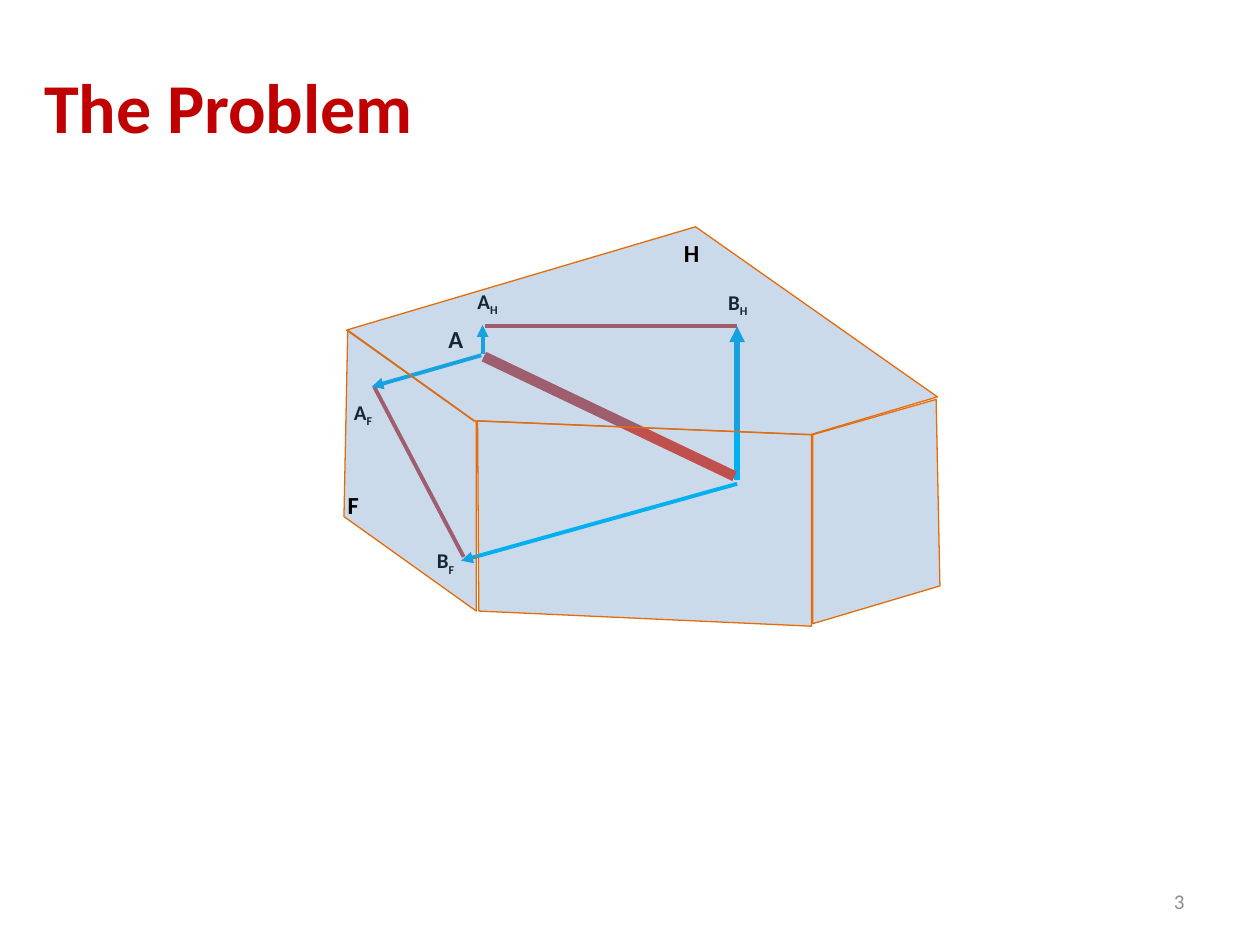
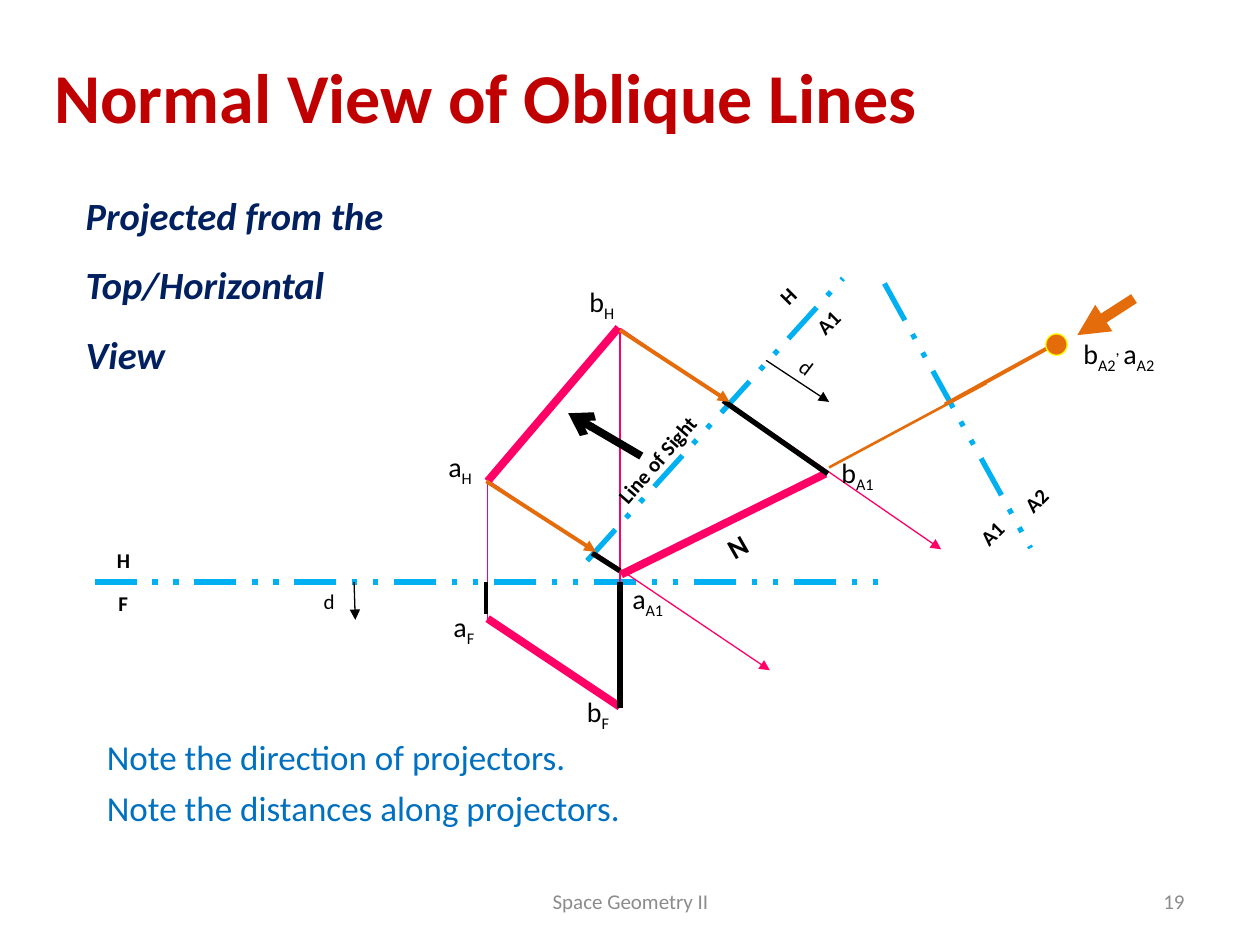
from pptx import Presentation
from pptx.dml.color import RGBColor
from pptx.enum.dml import MSO_LINE
from pptx.enum.shapes import MSO_CONNECTOR, MSO_SHAPE
from pptx.enum.text import MSO_ANCHOR, MSO_AUTO_SIZE, PP_ALIGN
from pptx.oxml.ns import qn
from pptx.util import Cm, Pt
from lxml.etree import SubElement

BLACK = RGBColor(0x00, 0x00, 0x00)
TITLE_RED = RGBColor(0xC0, 0x00, 0x00)
FOOTER_GREY = RGBColor(0x8C, 0x8C, 0x8C)
FACE_BLUE = RGBColor(0x4F, 0x81, 0xBD)
SKY = RGBColor(0x00, 0xB0, 0xF0)
BRICK = RGBColor(0xC0, 0x50, 0x4D)
ORANGE = RGBColor(0xE4, 0x6C, 0x0A)
PINK = RGBColor(0xFF, 0x00, 0x66)
YELLOW = RGBColor(0xFF, 0xFF, 0x00)
NAVY = RGBColor(0x00, 0x20, 0x60)
NOTE_BLUE = RGBColor(0x00, 0x70, 0xC0)

FONT = "Calibri"
TITLE_ONLY, TITLE_AND_BODY = 5, 1


def grid(*values):
    """Turn drawing units of 2.54 cm into lengths."""
    return [Cm(2.54 * v) for v in values]


def sub(letter, view):
    """Runs for a point name with its view as subscript."""
    return [(letter, 0), (view, -25)]


class Deck:
    def __init__(self):
        self.prs = Presentation()
        self.prs.slide_width, self.prs.slide_height = Cm(25.4), Cm(19.05)
        self.s = None

    def slide(self, layout, title, left, top):
        self.s = self.prs.slides.add_slide(self.prs.slide_layouts[layout])
        sp = self.s.shapes.title
        self.place(sp, left, top, 9, 1.17)
        tf = sp.text_frame
        tf.auto_size = MSO_AUTO_SIZE.NONE
        tf.vertical_anchor = MSO_ANCHOR.MIDDLE
        tf.paragraphs[0].alignment = PP_ALIGN.LEFT
        self.run(tf.paragraphs[0], title, 40, TITLE_RED, bold=True)

    def place(self, sp, *box):
        sp.left, sp.top, sp.width, sp.height = grid(*box)

    def run(self, p, text, size, color, bold=False, italic=False, baseline=0):
        r = p.add_run()
        r.text = text
        f = r.font
        f.name, f.size, f.bold, f.italic = FONT, Pt(size), bold, italic
        f.color.rgb = color
        if baseline:
            r._r.get_or_add_rPr().set("baseline", str(baseline * 1000))

    def text(self, box, runs, size=12, color=BLACK, bold=False, rotation=0, wrap=False):
        sp = self.s.shapes.add_textbox(*grid(*box))
        sp.rotation = rotation
        tf = sp.text_frame
        tf.word_wrap = wrap
        tf.auto_size = MSO_AUTO_SIZE.SHAPE_TO_FIT_TEXT
        if isinstance(runs, str):
            runs = [(runs, 0)]
        for text, baseline in runs:
            self.run(tf.paragraphs[0], text, size, color, bold, baseline=baseline)

    def footer(self, text, left, width, align):
        sp = self.s.shapes.add_textbox(*grid(left, 6.95, width, 0.4))
        tf = sp.text_frame
        tf.word_wrap = True
        tf.vertical_anchor = MSO_ANCHOR.MIDDLE
        tf.paragraphs[0].alignment = align
        self.run(tf.paragraphs[0], text, 12, FOOTER_GREY)

    def number(self, text):
        self.footer(text, 7.17, 2.33, PP_ALIGN.RIGHT)

    def body(self, box, text):
        sp = self.s.placeholders[1]
        self.place(sp, *box)
        tf = sp.text_frame
        tf.auto_size = MSO_AUTO_SIZE.NONE
        tf.vertical_anchor = MSO_ANCHOR.BOTTOM
        p = tf.paragraphs[0]
        pPr = p._p.get_or_add_pPr()
        pPr.set("marL", "0")
        pPr.set("indent", "0")
        SubElement(pPr, qn("a:buNone"))
        p.line_spacing = 1.5
        p.space_before = Pt(0)
        self.run(p, text, 22, NAVY, bold=True, italic=True)

    def line(self, start, end, color, width, head=None, dash=None):
        c = self.s.shapes.add_connector(MSO_CONNECTOR.STRAIGHT, *grid(*start, *end))
        c.line.color.rgb = color
        c.line.width = Pt(width)
        if dash:
            c.line.dash_style = dash
        spPr = c._element.spPr
        if head:
            SubElement(spPr.find(qn("a:ln")), qn("a:tailEnd")).set("type", head)
        SubElement(spPr, qn("a:effectLst"))

    def arrow(self, start, end, color, width, head="triangle"):
        self.line(start, end, color, width, head)

    def fold(self, start, end):
        """Folding line between two views."""
        self.line(start, end, SKY, 3, dash=MSO_LINE.DASH_DOT_DOT)

    def face(self, *corners):
        """Translucent wall of the glass box."""
        points = [grid(*corner) for corner in corners]
        builder = self.s.shapes.build_freeform(*points[0], scale=1.0)
        builder.add_line_segments(points[1:], close=True)
        sp = builder.convert_to_shape()
        sp.shadow.inherit = False
        sp.fill.solid()
        sp.fill.fore_color.rgb = FACE_BLUE
        clr = sp._element.spPr.find(qn("a:solidFill")).find(qn("a:srgbClr"))
        SubElement(clr, qn("a:alpha")).set("val", "29000")
        sp.line.color.rgb = ORANGE
        sp.line.width = Pt(0.75)

    def dot(self, left, top, size):
        sp = self.s.shapes.add_shape(MSO_SHAPE.OVAL, *grid(left, top, size, size))
        sp.shadow.inherit = False
        sp.fill.solid()
        sp.fill.fore_color.rgb = ORANGE
        sp.line.color.rgb = YELLOW
        sp.line.width = Pt(0.75)


def problem_slide(d):
    d.slide(TITLE_ONLY, "The Problem", 0.25, 0.25)
    d.number("3")

    d.face((3.79, 3.34), (6.44, 3.45), (6.44, 4.97), (3.8, 4.85))
    d.arrow((5.85, 3.81), (5.85, 2.59), SKY, 3)
    d.arrow((3.83, 2.81), (3.83, 2.58), SKY, 2.25)
    d.arrow((5.85, 3.84), (3.66, 4.45), SKY, 2.25)
    d.line((3.68, 4.42), (2.97, 3.07), BRICK, 2.25)
    d.arrow((3.82, 2.82), (2.95, 3.07), SKY, 2.25)
    d.line((5.83, 3.78), (3.84, 2.83), BRICK, 6)

    for left, top, letter, view in [(3.69, 2.24, "A", "H"), (5.68, 2.25, "B", "H"),
                                    (2.71, 3.12, "A", "F"), (3.37, 4.3, "B", "F")]:
        d.text((left, top, 0.36, 0.3), sub(letter, view), bold=True)
    d.text((3.46, 2.52, 0.32, 0.34), "A", 14, bold=True)
    d.line((3.85, 2.59), (5.85, 2.59), BRICK, 2.25)

    d.face((2.75, 2.62), (5.52, 1.8), (7.44, 3.15), (6.43, 3.45), (3.76, 3.34))
    d.face((2.76, 2.62), (2.73, 4.1), (3.78, 4.85), (3.78, 3.35))
    d.face((6.45, 3.45), (7.43, 3.17), (7.46, 4.65), (6.45, 4.95))
    d.text((2.66, 3.84, 0.29, 0.34), "F", 14, bold=True)
    d.text((5.33, 1.84, 0.33, 0.34), "H", 14, bold=True)


def normal_view_slide(d):
    d.slide(TITLE_AND_BODY, "Normal View of Oblique Lines", 0.33, 0.17)
    d.body((0.58, 1.25, 2.7, 1.79), "Projected from the Top/Horizontal View")

    # Front and horizontal views with their projectors
    d.fold((0.75, 4.62), (7, 4.62))
    d.line((3.87, 3.82), (4.91, 2.6), PINK, 4.5)
    d.line((3.87, 4.91), (4.92, 5.61), PINK, 4.5)
    d.line((3.87, 4.92), (3.87, 3.82), PINK, 0.75)
    d.line((4.92, 2.6), (4.92, 5.6), PINK, 0.75)
    d.arrow((3.87, 3.81), (6.11, 5.32), PINK, 0.75)
    d.line((4.93, 4.56), (6.55, 3.76), PINK, 4.5)
    d.arrow((4.93, 2.61), (7.47, 4.36), PINK, 0.75)
    d.fold((4.66, 4.45), (6.69, 2.21))
    d.arrow((2.81, 4.62), (2.82, 4.92), BLACK, 0.75)
    d.arrow((6.08, 2.86), (6.58, 3.19), BLACK, 0.75)

    for left, top, width, letter, view in [
            (4.58, 2.21, 0.41, "b", "H"), (4.56, 5.46, 0.39, "b", "F"),
            (3.46, 3.52, 0.4, "a", "H"), (3.5, 4.79, 0.38, "a", "F"),
            (4.92, 4.57, 0.47, "a", "A1"), (6.58, 3.57, 0.48, "b", "A1")]:
        d.text((left, top, width, 0.37), sub(letter, view), 16)

    for left, top, width, label, rotation in [
            (0.84, 4.64, 0.28, "F", 0), (0.83, 4.3, 0.31, "H", 0),
            (6.1, 2.2, 0.31, "H", 315), (6.38, 2.41, 0.39, "A1", 315),
            (8.03, 3.82, 0.39, "A2", 315), (7.68, 4.08, 0.39, "A1", 315),
            (4.69, 3.49, 1.06, "Line of Sight", 311.1)]:
        d.text((left, top, width, 0.3), label, bold=True, rotation=rotation)
    d.text((6.26, 2.77, 0.29, 0.3), "d", rotation=37)
    d.text((2.47, 4.62, 0.29, 0.3), "d")
    d.text((5.68, 4.15, 0.35, 0.37), "N", 16, bold=True, rotation=330.2)

    # Distances carried over to the first auxiliary view
    d.line((3.86, 4.62), (3.86, 4.87), BLACK, 2.25)
    for start, end in [((4.7, 4.39), (4.92, 4.53)), ((4.92, 4.62), (4.92, 5.62)),
                       ((5.74, 3.18), (6.57, 3.76))]:
        d.line(start, end, BLACK, 3)
    d.arrow((5.09, 3.62), (4.51, 3.28), BLACK, 4.5, "arrow")

    # Second auxiliary view, where the line shows as a point
    d.line((6.58, 3.71), (7.83, 3.04), ORANGE, 1.5)
    d.fold((7.02, 2.25), (8.18, 4.35))
    d.arrow((4.92, 2.62), (5.79, 3.19), ORANGE, 2.25)
    d.arrow((3.86, 3.82), (4.73, 4.38), ORANGE, 2.25)
    d.line((7.5, 3.21), (8.41, 2.71), ORANGE, 2.25)
    d.dot(8.3, 2.65, 0.17)
    d.text((8.5, 2.62, 0.82, 0.37), sub("b", "A2") + [(", ", 30)] + sub("a", "A2"), 16)
    d.arrow((9, 2.37), (8.55, 2.66), ORANGE, 6)

    notes = ["Note the direction of projectors.", "Note the distances along projectors."]
    for i, note in enumerate(notes):
        d.text((0.75, 5.79 + 0.4 * i, 6.88, 0.44), note, 20, NOTE_BLUE, wrap=True)
    d.footer("Space Geometry II", 3.42, 3.17, PP_ALIGN.CENTER)
    d.number("19")


def main():
    d = Deck()
    problem_slide(d)
    normal_view_slide(d)
    d.prs.save("out.pptx")


if __name__ == "__main__":
    main()
